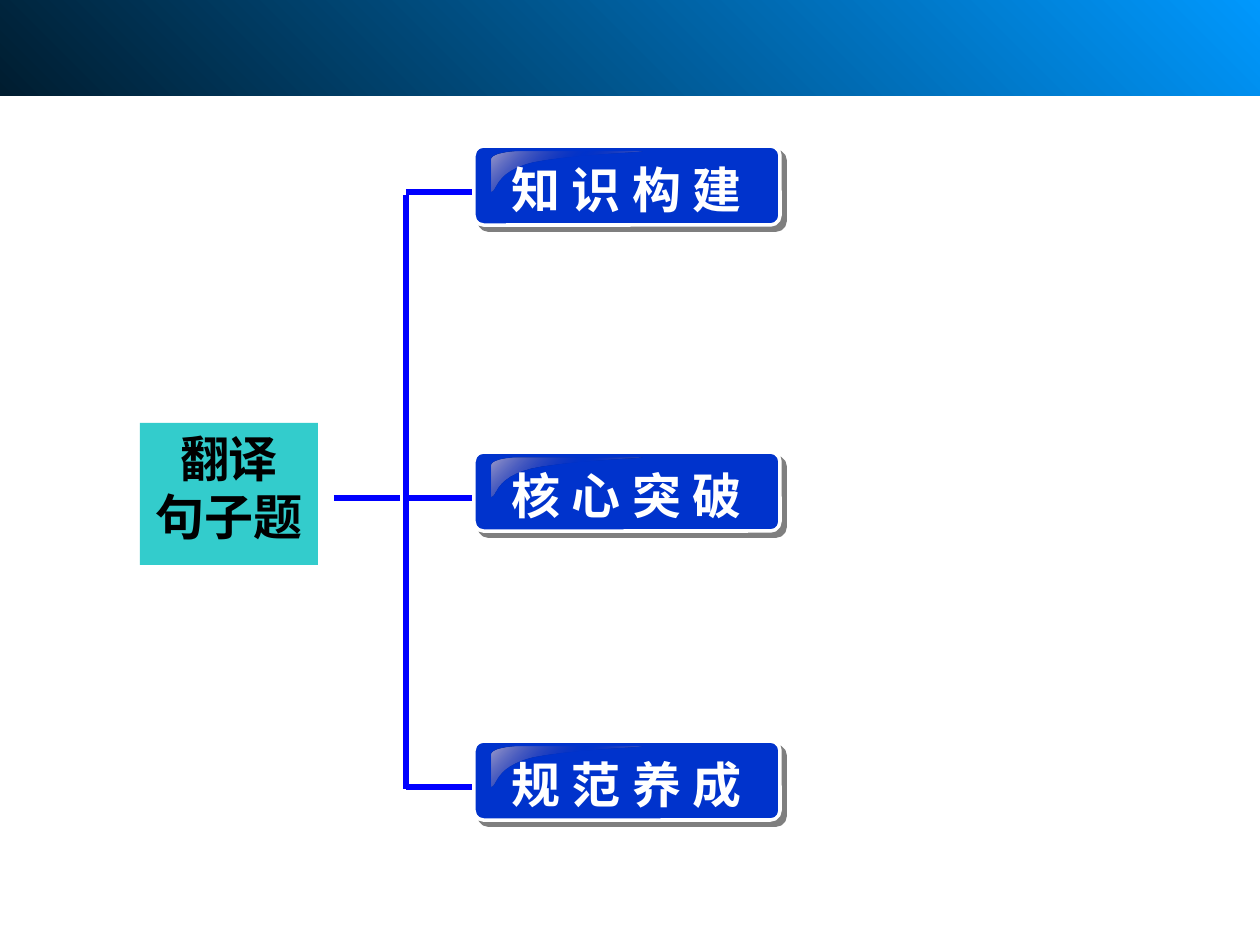
from dataclasses import dataclass
from typing import Any

from lxml.etree import SubElement
from pptx import Presentation
from pptx.dml.color import RGBColor
from pptx.enum.shapes import MSO_CONNECTOR, MSO_SHAPE
from pptx.enum.text import MSO_ANCHOR, MSO_AUTO_SIZE, PP_ALIGN
from pptx.oxml import parse_xml
from pptx.oxml.ns import nsdecls, qn
from pptx.util import Emu, Pt

SCALE = 914400 / 126
SANS = "Noto Sans CJK SC"
SERIF = "Times New Roman"


@dataclass
class Topic:
    text: str
    top: int


@dataclass
class Stop:
    pos: int
    tint: str
    alpha: int = 100


TOPICS = [Topic("知 识 构 建", 146), Topic("核 心 突 破", 452), Topic("规 范 养 成", 741)]
LEFT, WIDE, HIGH = 474, 306, 79
TRUNK = 406
JOIN = 46  # from the top of a button to its branch

# Gloss outline: start point, then cubic curves; a single point is a straight edge
START = (30, 0)
EDGES = [
    [(14, 0), (0, 3), (0, 8)],
    [(0, 39)],
    [(6, 39), (3, 20), (40, 11)],
    [(79, 3), (152, 1), (150, 0)],
]


def px(n: float) -> Emu:
    return Emu(round(n * SCALE))


def color(code: str) -> RGBColor:
    return RGBColor.from_string(code)


def paint(shape: Any, stops: list[Stop], angle: int) -> None:
    """Fill with a linear gradient, angle clockwise in degrees."""
    shape.fill.gradient()
    old = shape._element.spPr.find(qn("a:gradFill"))
    marks = "".join(
        f'<a:gs pos="{s.pos * 1000}"><a:srgbClr val="{s.tint}">'
        f'<a:alpha val="{s.alpha * 1000}"/></a:srgbClr></a:gs>'
        for s in stops
    )
    new = parse_xml(
        f'<a:gradFill {nsdecls("a")} rotWithShape="1"><a:gsLst>{marks}</a:gsLst>'
        f'<a:lin ang="{angle * 60000}" scaled="1"/></a:gradFill>'
    )
    old.getparent().replace(old, new)


def block(shapes: Any, kind: Any, x: int, y: int, w: int, h: int) -> Any:
    shape = shapes.add_shape(kind, px(x), px(y), px(w), px(h))
    shape.shadow.inherit = False
    shape.line.fill.background()
    return shape


def write(shape: Any, lines: list[str], face: str, tint: str, align: Any,
          anchor: Any, pads: tuple[int, int, int, int]) -> None:
    frame = shape.text_frame
    frame.word_wrap = True
    frame.auto_size = MSO_AUTO_SIZE.SHAPE_TO_FIT_TEXT
    frame.vertical_anchor = anchor
    (frame.margin_left, frame.margin_top,
     frame.margin_right, frame.margin_bottom) = map(px, pads)
    frame.text = "\n".join(lines)
    for para in frame.paragraphs:
        para.alignment = align
        font = para.font
        font.name, font.size, font.bold = face, Pt(28), True
        font.color.rgb = color(tint)
        props = para._p.pPr.find(qn("a:defRPr"))
        SubElement(props, qn("a:ea")).set("typeface", SANS)


def drop(shape: Any) -> None:
    """Add a hard grey shadow to the lower right."""
    effects = shape._element.spPr.find(qn("a:effectLst"))
    effects.append(parse_xml(
        f'<a:outerShdw {nsdecls("a")} blurRad="0" dist="{Pt(4.2)}" dir="2700000" '
        'algn="ctr" rotWithShape="0"><a:srgbClr val="000000">'
        '<a:alpha val="50000"/></a:srgbClr></a:outerShdw>'
    ))


def trace(steps: int = 12) -> list[tuple[float, float]]:
    """Turn the gloss outline into short straight edges."""
    points: list[tuple[float, float]] = []
    last = START
    for edge in EDGES:
        if len(edge) == 1:
            points.append(edge[0])
        else:
            knots = [last, *edge]
            for i in range(1, steps + 1):
                t = i / steps
                parts = ((1 - t) ** 3, 3 * t * (1 - t) ** 2, 3 * t * t * (1 - t), t ** 3)
                points.append((sum(p * k[0] for p, k in zip(parts, knots)),
                               sum(p * k[1] for p, k in zip(parts, knots))))
        last = edge[-1]
    return points


def gloss(shapes: Any, x: int, y: int) -> None:
    pen = shapes.build_freeform(px(x + START[0]), px(y + START[1]))
    pen.add_line_segments([(px(x + a), px(y + b)) for a, b in trace()], close=True)
    shape = pen.convert_to_shape()
    shape.shadow.inherit = False
    shape.line.fill.background()
    paint(shape, [Stop(0, "9B9BCC"), Stop(50, "333399", 0), Stop(100, "9B9BCC")], 225)


def button(shapes: Any, topic: Topic) -> None:
    parts = shapes.add_group_shape().shapes
    base = block(parts, MSO_SHAPE.ROUNDED_RECTANGLE, LEFT, topic.top, WIDE, HIGH)
    base.adjustments[0] = 0.12
    base.fill.solid()
    base.fill.fore_color.rgb = color("0033CC")
    base.line.color.rgb = color("FFFFFF")
    base.line.width = Pt(2)
    drop(base)
    gloss(parts, LEFT + 18, topic.top + 6)
    label = parts.add_textbox(px(LEFT + 25), px(topic.top + 7), px(518), px(72))
    write(label, [topic.text], SERIF, "FFFFFF", PP_ALIGN.LEFT,
          MSO_ANCHOR.MIDDLE, (13, 6, 13, 6))


def rule(shapes: Any, x1: int, y1: int, x2: int, y2: int) -> None:
    line = shapes.add_connector(MSO_CONNECTOR.STRAIGHT, px(x1), px(y1), px(x2), px(y2))
    line.line.color.rgb = color("0000FF")
    line.line.width = Pt(3)
    SubElement(line._element.spPr, qn("a:effectLst"))


def main() -> None:
    deck = Presentation()
    deck.slide_width, deck.slide_height = px(1260), px(945)
    shapes = deck.slides.add_slide(deck.slide_layouts[6]).shapes

    # Root topic
    root = block(shapes, MSO_SHAPE.RECTANGLE, 140, 423, 178, 142)
    root.fill.solid()
    root.fill.fore_color.rgb = color("33CCCC")
    write(root, ["翻译", "句子题"], SANS, "000000", PP_ALIGN.CENTER,
          MSO_ANCHOR.TOP, (13, 5, 13, 20))

    # Header band
    band = block(shapes, MSO_SHAPE.RECTANGLE, 0, -14, 1260, 110)
    paint(band, [Stop(0, "0099FF"), Stop(100, "001D30")], 135)

    # Topic buttons
    for topic in TOPICS:
        button(shapes, topic)

    # Stem, trunk and branches
    rule(shapes, 334, 498, 400, 498)
    rule(shapes, TRUNK, 195, TRUNK, 789)
    for topic in TOPICS:
        rule(shapes, TRUNK, topic.top + JOIN, 472, topic.top + JOIN)

    deck.save("out.pptx")


if __name__ == "__main__":
    main()
